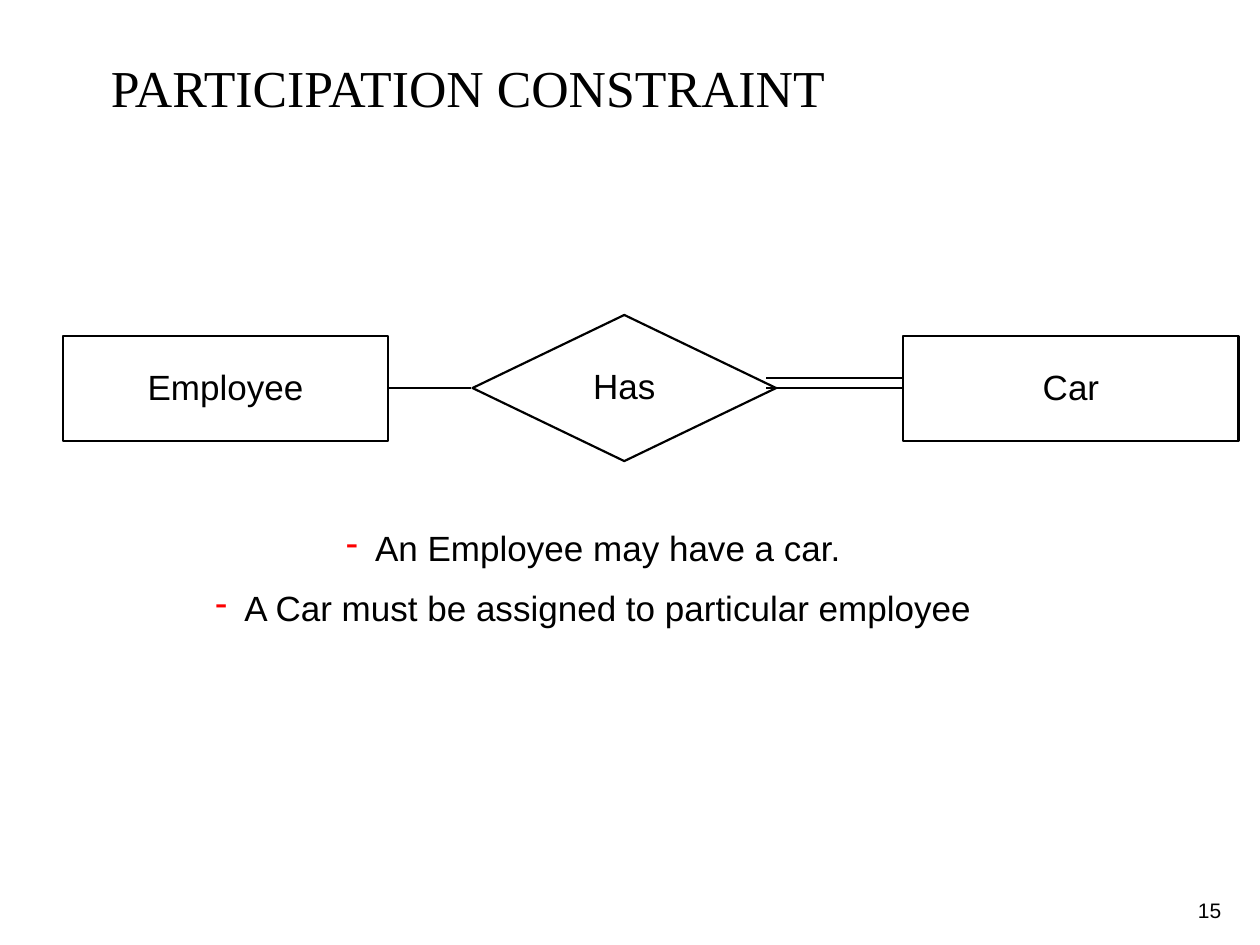
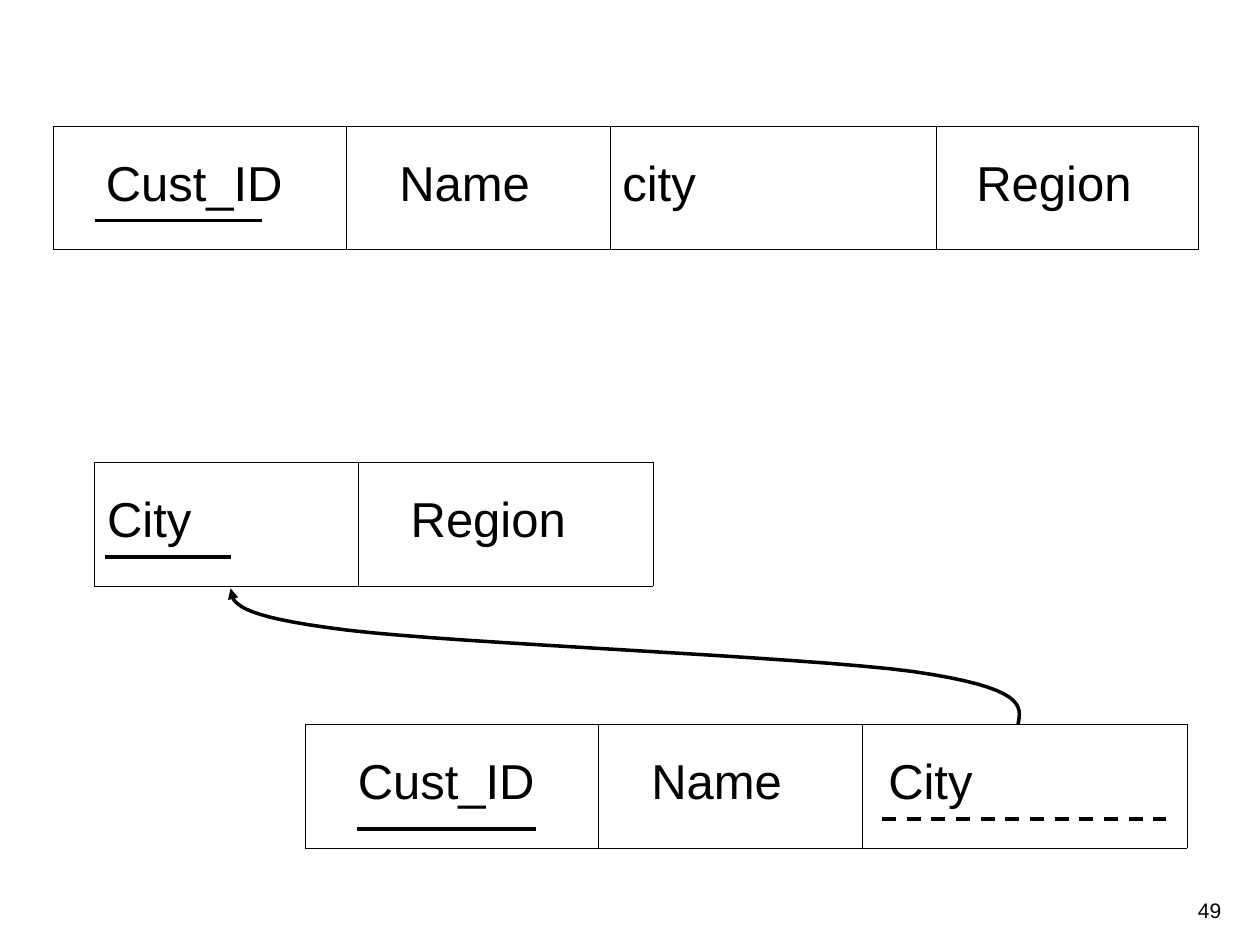
from lxml.etree import SubElement
from pptx import Presentation
from pptx.dml.color import RGBColor
from pptx.enum.dml import MSO_LINE
from pptx.enum.shapes import MSO_CONNECTOR, MSO_SHAPE
from pptx.enum.text import MSO_ANCHOR, MSO_AUTO_SIZE, PP_ALIGN
from pptx.oxml.ns import qn
from pptx.util import Inches, Pt

COLORS = {"ink": "000000", "paper": "FFFFFF", "bullet": "FD0000"}
BODY_FONT, TITLE_FONT = "Arial", "Times New Roman"
LINE_SPACING = 0.9
THIN, BOLD, HAIRLINE = 1.25, 2, 0.11
TITLE_ONLY, BLANK = 5, 6

TITLE = "PARTICIPATION CONSTRAINT"
# label, shape, left, top, width, height
ENTITIES = [
    ("Employee", MSO_SHAPE.RECTANGLE, 0.5, 2.67, 2.58, 0.83),
    ("Has", MSO_SHAPE.FLOWCHART_DECISION, 3.75, 2.5, 2.41, 1.16),
    ("Car", MSO_SHAPE.RECTANGLE, 7.17, 2.67, 2.66, 0.83),
]
# x1, y1, x2, y2; the double line marks total participation
LINKS = [(3.08, 2.67, 3.08, 3.49), (3.08, 3.08, 3.74, 3.08),
         (6.08, 3, 7.16, 3), (6.08, 3.08, 7.16, 3.08)]
RULES = ["An Employee may have a car.",
         "A Car must be assigned to particular employee"]

ROW_HEIGHT = 0.98
# left, top, cells as (label, width, indent)
RELATIONS = [
    (0.42, 1, [("Cust_ID", 2.33, 0.32), ("Name", 2.09, 0.32),
               ("city", 2.59, 0), ("Region", 2.08, 0.22)]),
    (0.75, 3.67, [("City", 2.09, 0), ("Region", 2.34, 0.32)]),
    (2.42, 5.75, [("Cust_ID", 2.33, 0.32), ("Name", 2.09, 0.32),
                  ("City", 2.58, 0.11)]),
]
PRIMARY_KEYS = [(0.75, 1.75, 2.08, 1.75), (0.83, 4.42, 1.83, 4.42),
                (2.83, 6.58, 4.25, 6.58)]
FOREIGN_KEY = (7, 6.5, 9.25, 6.5)
REFERENCE_START = (8.08, 5.75)
# each curve: two control points and an end point
REFERENCE_CURVES = [
    ((8.11, 5.6), (8.14, 5.46), (7.25, 5.33)),
    ((6.36, 5.21), (3.65, 5.11), (2.75, 5)),
    ((1.85, 4.89), (1.84, 4.78), (1.83, 4.67)),
]
CURVE_STEPS = 16


def color(name):
    return RGBColor.from_string(COLORS[name])


def style_text(para, size, font=BODY_FONT, align=PP_ALIGN.CENTER, spacing=LINE_SPACING):
    para.alignment = align
    para.line_spacing = spacing
    for span in para.runs:
        span.font.name = font
        span.font.size = Pt(size)
        span.font.color.rgb = color("ink")


def style_line(line, width):
    line.color.rgb = color("ink")
    line.width = Pt(width)


def add_line(page, ends, width):
    link = page.shapes.add_connector(MSO_CONNECTOR.STRAIGHT, *map(Inches, ends))
    style_line(link.line, width)
    SubElement(link._element.spPr, qn("a:effectLst"))
    return link


def add_text_box(page, place):
    frame = page.shapes.add_textbox(*map(Inches, place)).text_frame
    frame.word_wrap = True
    return frame


def add_page(deck, layout, number):
    page = deck.slides.add_slide(deck.slide_layouts[layout])
    frame = add_text_box(page, (9.35, 7.1, 0.5, 0.28))
    frame.text = str(number)
    style_text(frame.paragraphs[0], 12)
    return page


def add_title(page, text):
    title = page.shapes.title
    title.left, title.top, title.width, title.height = map(Inches, (0.88, 0.5, 8.29, 1.03))
    frame = title.text_frame
    frame.text = text
    frame.auto_size = MSO_AUTO_SIZE.NONE
    frame.vertical_anchor = MSO_ANCHOR.TOP
    frame.margin_left = frame.margin_top = frame.margin_right = frame.margin_bottom = 0
    style_text(frame.paragraphs[0], 29.6, TITLE_FONT, PP_ALIGN.LEFT)


def add_entity(page, label, kind, *place):
    box = page.shapes.add_shape(kind, *map(Inches, place))
    box.shadow.inherit = False
    box.fill.background()
    style_line(box.line, THIN)
    frame = box.text_frame
    frame.text = label
    frame.word_wrap = False
    frame.vertical_anchor = MSO_ANCHOR.MIDDLE
    style_text(frame.paragraphs[0], 20)


def add_dash_bullet(para):
    props = para._p.get_or_add_pPr()
    props.set("marL", str(Inches(0.23)))
    props.set("indent", str(-Inches(0.23)))
    tint = SubElement(props, qn("a:buClr"))
    SubElement(tint, qn("a:srgbClr"), val=COLORS["bullet"])
    SubElement(props, qn("a:buChar"), char="-")


def add_rules(page):
    frame = add_text_box(page, (0.67, 4.17, 8.08, 0.88))
    frame.text = "\n".join(RULES)
    for index, para in enumerate(frame.paragraphs):
        add_dash_bullet(para)
        style_text(para, 20)
        if index:
            para.space_before = Pt(12.5)


def add_cell_borders(cell):
    props = cell._tc.get_or_add_tcPr()
    for index, side in enumerate(("a:lnL", "a:lnR", "a:lnT", "a:lnB")):
        border = props.makeelement(qn(side), {"w": str(Pt(HAIRLINE))})
        fill = SubElement(border, qn("a:solidFill"))
        SubElement(fill, qn("a:srgbClr"), val=COLORS["ink"])
        props.insert(index, border)


def add_relation(page, left, top, fields):
    total = sum(width for _, width, _ in fields)
    table = page.shapes.add_table(1, len(fields), Inches(left), Inches(top),
                                  Inches(total), Inches(ROW_HEIGHT)).table
    table.first_row = table.horz_banding = False
    for index, (label, width, indent) in enumerate(fields):
        table.columns[index].width = Inches(width)
        cell = table.cell(0, index)
        cell.text = label
        cell.margin_left = Inches(0.1 + indent)
        cell.vertical_anchor = MSO_ANCHOR.MIDDLE
        cell.fill.solid()
        cell.fill.fore_color.rgb = color("paper")
        add_cell_borders(cell)
        style_text(cell.text_frame.paragraphs[0], 28, align=PP_ALIGN.LEFT, spacing=0.81)


def curve_points(start, curves):
    """Return points along joined cubic Bezier curves, without the start."""
    points = []
    for first, second, end in curves:
        for step in range(1, CURVE_STEPS + 1):
            t = step / CURVE_STEPS
            u = 1 - t
            points.append(tuple(
                u**3 * a + 3 * u * u * t * b + 3 * u * t * t * c + t**3 * d
                for a, b, c, d in zip(start, first, second, end)))
        start = end
    return points


def add_reference_arrow(page):
    builder = page.shapes.build_freeform(*map(Inches, REFERENCE_START))
    points = curve_points(REFERENCE_START, REFERENCE_CURVES)
    builder.add_line_segments([(Inches(x), Inches(y)) for x, y in points], close=False)
    arrow = builder.convert_to_shape()
    arrow.shadow.inherit = False
    arrow.fill.background()
    style_line(arrow.line, BOLD)
    SubElement(arrow.line._get_or_add_ln(), qn("a:tailEnd"), type="triangle")


def build_participation(deck):
    page = add_page(deck, TITLE_ONLY, 15)
    add_title(page, TITLE)
    add_rules(page)
    for entity in ENTITIES:
        add_entity(page, *entity)
    for ends in LINKS:
        add_line(page, ends, THIN)


def build_relations(deck):
    page = add_page(deck, BLANK, 49)
    for relation in RELATIONS:
        add_relation(page, *relation)
    for ends in PRIMARY_KEYS:
        add_line(page, ends, BOLD)
    add_line(page, FOREIGN_KEY, BOLD).line.dash_style = MSO_LINE.DASH
    add_reference_arrow(page)


def main():
    deck = Presentation()
    deck.slide_width, deck.slide_height = Inches(10), Inches(7.5)
    build_participation(deck)
    build_relations(deck)
    deck.save("out.pptx")


if __name__ == "__main__":
    main()
